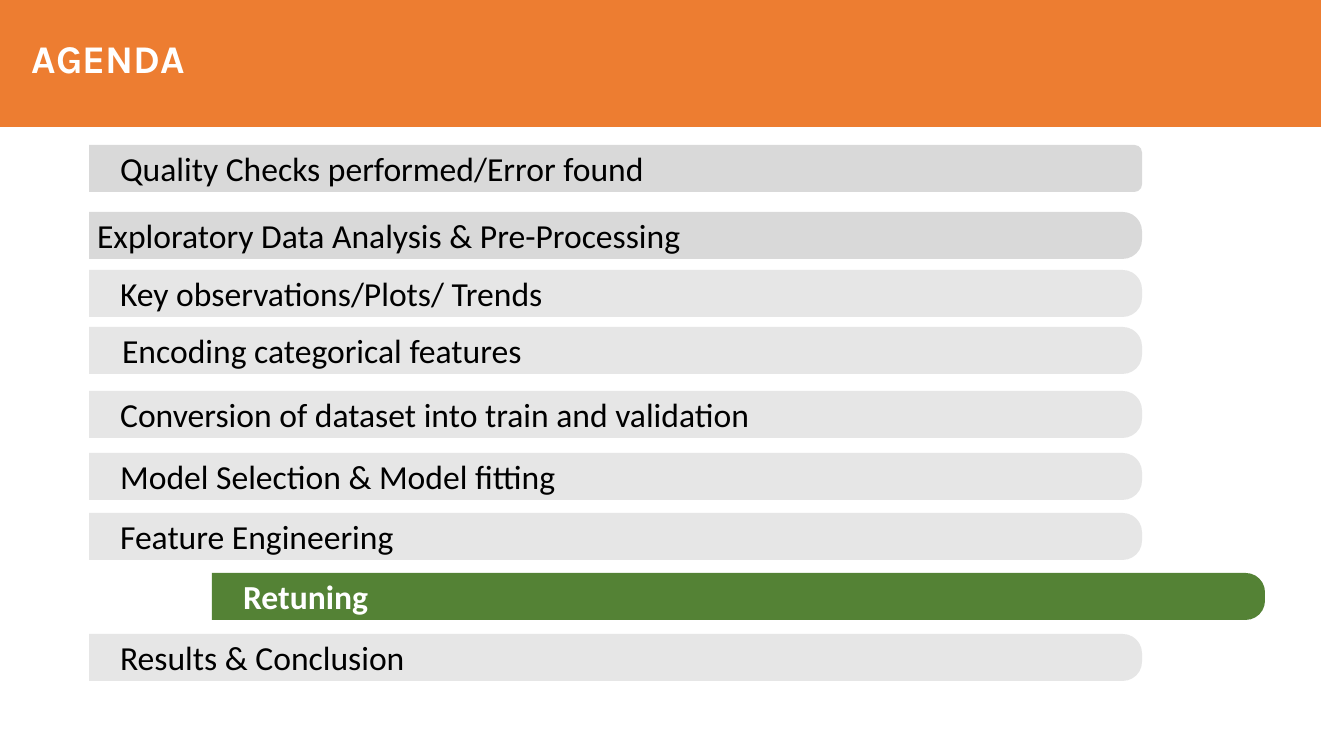
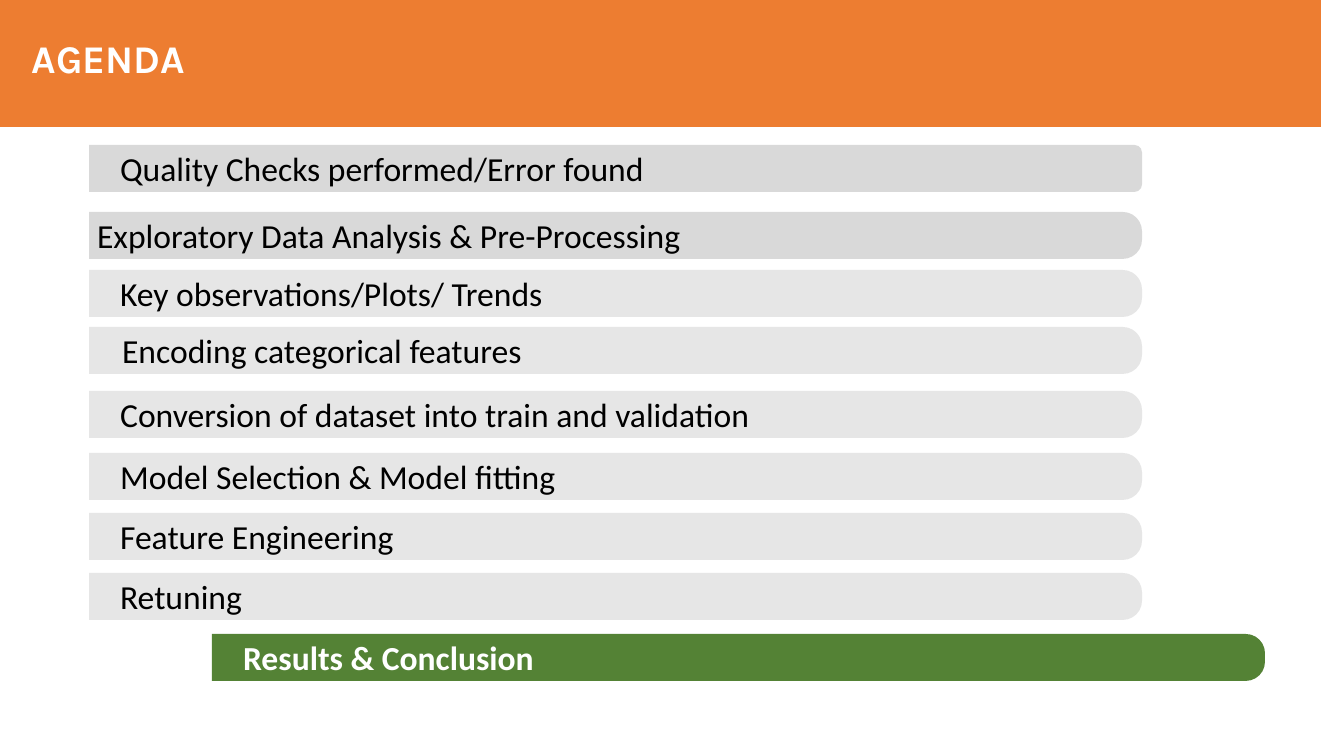
from pptx import Presentation
from pptx.dml.color import RGBColor
from pptx.enum.shapes import MSO_SHAPE
from pptx.enum.text import MSO_ANCHOR
from pptx.util import Pt

RECTANGLE = MSO_SHAPE.RECTANGLE
ROUND_TOP = MSO_SHAPE.ROUND_2_SAME_RECTANGLE
MIDDLE = MSO_ANCHOR.MIDDLE

EMU_PER_PX = 914400 / 100.8
PAGE_SIZE = (1344, 756)
BAND_BOX = (0, 0, 1321, 127)
TITLE_BOX = (22, 35, 1243, 40)

ORANGE = "ED7D31"
GREEN = "548235"
DARK_GREY = "D9D9D9"
LIGHT_GREY = "E6E6E6"
WHITE = "FFFFFF"
BLACK = "000000"

BAR_LEFT, BAR_WIDTH, BAR_HEIGHT = 89, 1053, 47
ACTIVE_SHIFT = 123
BAR_INSET = 8
ROUND, SLIGHTLY_ROUND = 0.41, 0.16

# Topic, top, indent, fill, corner rounding
TOPICS = [
    ("Quality Checks performed/Error found", 145, 23, DARK_GREY, SLIGHTLY_ROUND),
    ("Exploratory Data Analysis & Pre-Processing", 212, 0, DARK_GREY, ROUND),
    ("Key observations/Plots/ Trends", 270, 23, LIGHT_GREY, ROUND),
    ("Encoding categorical features", 327, 25, LIGHT_GREY, ROUND),
    ("Conversion of dataset into train and validation", 391, 23, LIGHT_GREY, ROUND),
    ("Model Selection & Model fitting", 453, 23, LIGHT_GREY, ROUND),
    ("Feature Engineering", 513, 23, LIGHT_GREY, ROUND),
    ("Retuning", 573, 23, LIGHT_GREY, ROUND),
    ("Results & Conclusion", 634, 23, LIGHT_GREY, ROUND),
]
ACTIVE_TOPICS = ["Retuning", "Results & Conclusion"]


def px(length):
    return round(length * EMU_PER_PX)


def color(hex_text):
    return RGBColor.from_string(hex_text)


def add_filled(page, kind, box, fill):
    shape = page.shapes.add_shape(kind, *map(px, box))
    shape.shadow.inherit = False
    shape.fill.solid()
    shape.fill.fore_color.rgb = color(fill)
    shape.line.fill.background()
    return shape


def write(frame, text, font_name, size, text_color, bold):
    para = frame.paragraphs[0]
    para.text = text
    font = para.runs[0].font
    font.name, font.size, font.bold = font_name, Pt(size), bold
    font.color.rgb = color(text_color)
    return para


def add_header(page, title):
    add_filled(page, RECTANGLE, BAND_BOX, ORANGE)
    frame = page.shapes.add_textbox(*map(px, TITLE_BOX)).text_frame
    frame.word_wrap = True
    para = write(frame, title, "Karla", 28, WHITE, True)
    para.line_spacing = 0.9


def add_bar(page, box, text, indent, fill, rounding, active):
    """Turn an upright shape by 90° so that its rounded top faces right."""
    left, top, width, height = box
    offset = (width - height) / 2
    upright_box = (left + offset, top - offset, height, width)
    bar = add_filled(page, ROUND_TOP, upright_box, fill)
    bar.rotation = 90
    bar.adjustments[0], bar.adjustments[1] = rounding, 0

    frame = bar.text_frame
    frame.vertical_anchor = MIDDLE
    frame.margin_left = frame.margin_right = px(BAR_INSET)
    frame.margin_top = frame.margin_bottom = px(BAR_INSET)
    frame._txBody.bodyPr.set("vert", "vert270")
    para = write(frame, text, "Calibri", 24, WHITE if active else BLACK, active)
    properties = para._p.get_or_add_pPr()
    properties.set("algn", "l")
    properties.set("marL", str(px(indent)))


def add_agenda(deck, active_topic):
    page = deck.slides.add_slide(deck.slide_layouts[6])
    add_header(page, "AGENDA")
    for text, top, indent, fill, rounding in TOPICS:
        active = text == active_topic
        left = BAR_LEFT + (ACTIVE_SHIFT if active else 0)
        box = (left, top, BAR_WIDTH, BAR_HEIGHT)
        add_bar(page, box, text, indent, GREEN if active else fill, rounding, active)


def main():
    deck = Presentation()
    deck.slide_width, deck.slide_height = map(px, PAGE_SIZE)
    for topic in ACTIVE_TOPICS:
        add_agenda(deck, topic)
    deck.save("out.pptx")


if __name__ == "__main__":
    main()
